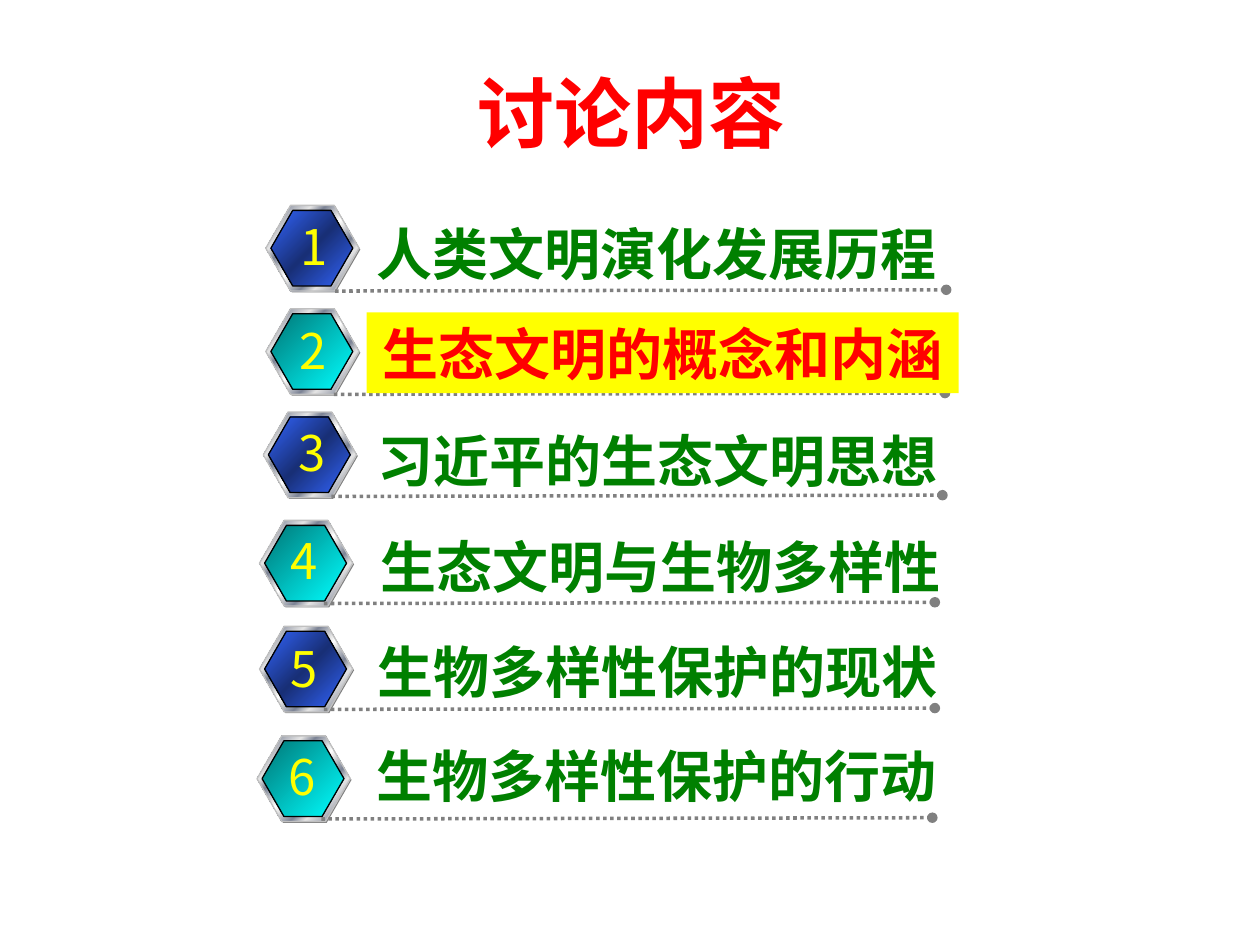
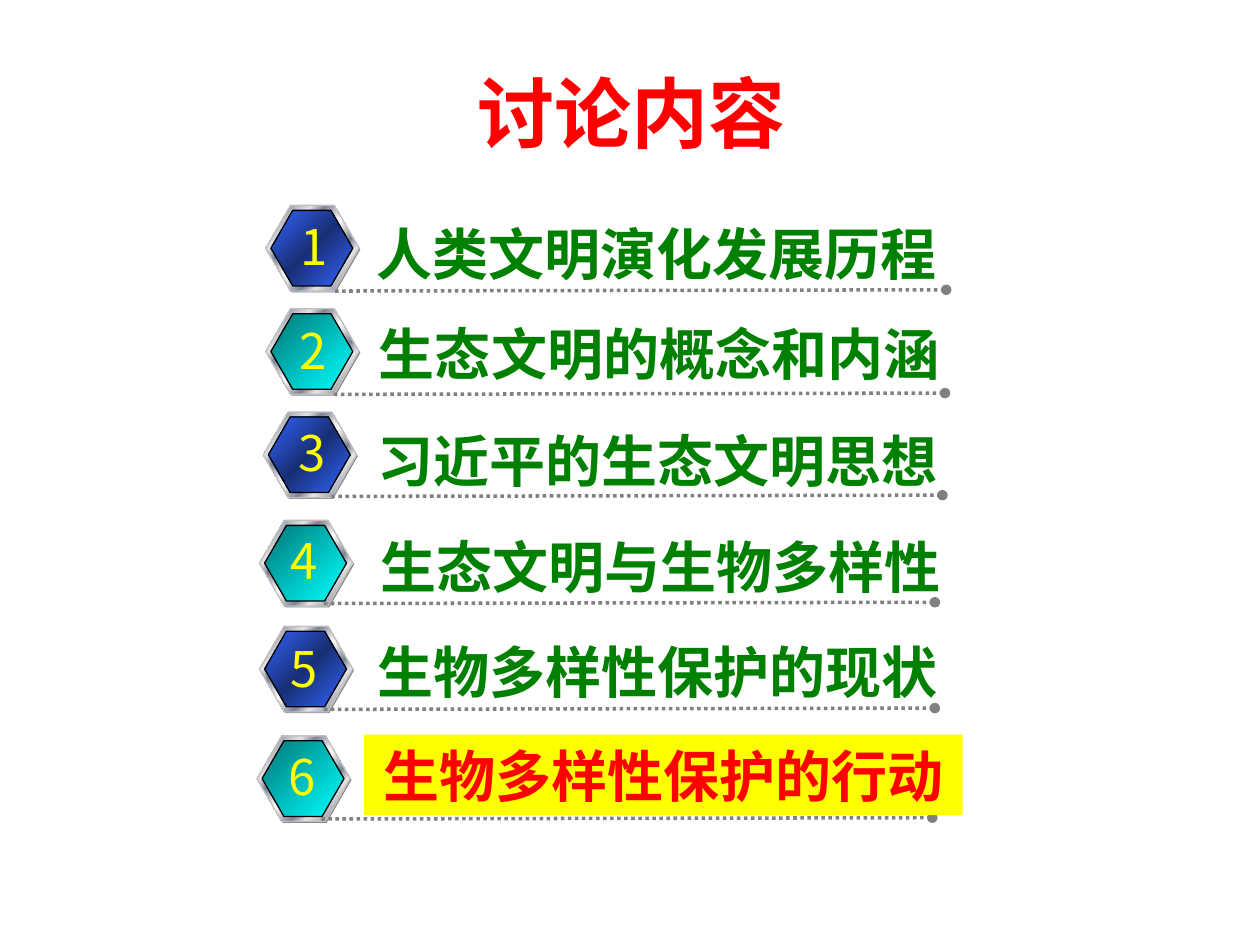
"""Build two agenda slides that each highlight one discussion topic."""
from dataclasses import dataclass

from lxml.etree import SubElement
from pptx import Presentation
from pptx.dml.color import RGBColor
from pptx.enum.dml import MSO_LINE
from pptx.enum.shapes import MSO_CONNECTOR, MSO_SHAPE
from pptx.enum.text import MSO_ANCHOR, PP_ALIGN
from pptx.oxml.ns import qn
from pptx.util import Inches, Pt

FONT = "Noto Sans CJK SC"
RED = RGBColor(0xFF, 0x00, 0x00)
GREEN = RGBColor(0x00, 0x80, 0x00)
YELLOW = RGBColor(0xFF, 0xFF, 0x00)
BLACK = RGBColor(0x00, 0x00, 0x00)
GRAY = RGBColor(0x80, 0x80, 0x80)
SILVER = RGBColor(0xC0, 0xC0, 0xC0)
WHITE = RGBColor(0xFF, 0xFF, 0xFF)
PALE = RGBColor(0xE6, 0xE6, 0xE6)
STEEL = RGBColor(0x7D, 0x84, 0x96)
BLUE = RGBColor(0x33, 0x66, 0xFF)
NAVY = RGBColor(0x18, 0x2F, 0x76)
TEAL = RGBColor(0x00, 0x76, 0x76)
CYAN = RGBColor(0x00, 0xFF, 0xFF)

METAL_STOPS = [(0, PALE), (8, STEEL), (26, PALE), (34, STEEL), (46, PALE), (50, WHITE),
               (54, PALE), (66, STEEL), (74, PALE), (92, STEEL), (100, PALE)]
BLUE_STOPS = [(0, BLUE), (50, NAVY), (100, BLUE)]
TEAL_STOPS = [(0, TEAL), (100, CYAN)]


@dataclass(frozen=True)
class Topic:
    """One agenda row; each pair is left and top in inches."""
    text: str
    badge: tuple[float, float]
    number: tuple[float, float]
    rule: tuple[float, float]
    label: tuple[float, float]
    width: float = 5.1
    highlight_width: float = 4.7


TOPICS = [
    Topic("人类文明演化发展历程", (2.11, 1.63), (2.29, 1.67), (2.66, 2.31), (2.89, 1.69), width=6.11),
    Topic("生态文明的概念和内涵", (2.11, 2.45), (2.28, 2.49), (2.65, 3.13), (2.91, 2.48)),
    Topic("习近平的生态文明思想", (2.09, 3.27), (2.27, 3.3), (2.63, 3.94), (2.9, 3.33)),
    Topic("生态文明与生物多样性", (2.06, 4.13), (2.21, 4.16), (2.57, 4.79), (2.92, 4.17)),
    Topic("生物多样性保护的现状", (2.06, 4.97), (2.21, 5.02), (2.57, 5.63), (2.9, 5.01)),
    Topic("生物多样性保护的行动", (2.04, 5.84), (2.19, 5.87), (2.55, 6.5), (2.89, 5.83),
          highlight_width=4.75),
]


def add_text(slide, text: str, x: float, y: float, w: float, h: float, *, size: int,
             color: RGBColor, bold: bool = False, align=PP_ALIGN.CENTER,
             anchor=MSO_ANCHOR.MIDDLE, wrap: bool = True, fill: RGBColor | None = None):
    """Add a one-line text box, on a filled rectangle if a fill is given."""
    box = Inches(x), Inches(y), Inches(w), Inches(h)
    if fill is None:
        s = slide.shapes.add_textbox(*box)
    else:
        s = slide.shapes.add_shape(MSO_SHAPE.RECTANGLE, *box)
        s.shadow.inherit = False
        s.fill.solid()
        s.fill.fore_color.rgb = fill
        s.line.fill.background()
    tf = s.text_frame
    tf.word_wrap = wrap
    tf.vertical_anchor = anchor
    p = tf.paragraphs[0]
    p.alignment = align
    r = p.add_run()
    r.text = text
    r.font.name = FONT
    r.font.size = Pt(size)
    r.font.bold = bold
    r.font.color.rgb = color
    SubElement(r.font._element, qn("a:ea")).set("typeface", FONT)
    return s


def fill_gradient(s, stops: list[tuple[int, RGBColor]]) -> None:
    """Fill a shape with a diagonal gradient of the given stops."""
    s.fill.gradient()
    s.fill.gradient_angle = 315
    stop_list = s._element.spPr.find(qn("a:gradFill")).find(qn("a:gsLst"))
    for old in list(stop_list):
        stop_list.remove(old)
    for percent, color in stops:
        stop = SubElement(stop_list, qn("a:gs"), pos=str(percent * 1000))
        SubElement(stop, qn("a:srgbClr"), val=str(color))


def add_hexagon(group, x: float, y: float, w: float, h: float, *,
                stops: list | None = None, outline: RGBColor | None = None):
    """Add a regular hexagon, flat gray unless gradient stops are given."""
    s = group.shapes.add_shape(MSO_SHAPE.HEXAGON, Inches(x), Inches(y), Inches(w), Inches(h))
    s.shadow.inherit = False
    s.adjustments[0] = 0.289
    s.adjustments[1] = 1.155
    if stops:
        fill_gradient(s, stops)
    else:
        s.fill.solid()
        s.fill.fore_color.rgb = GRAY
    if outline is None:
        s.line.fill.background()
    else:
        s.line.color.rgb = outline
        s.line.width = Pt(0.75)
    return s


def add_badge(slide, x: float, y: float, stops: list) -> None:
    """Add a metal-rimmed hexagon with its offset backing."""
    group = slide.shapes.add_group_shape()
    add_hexagon(group, x + 0.01, y + 0.01, 0.74, 0.68)
    add_hexagon(group, x, y, 0.74, 0.68, stops=METAL_STOPS, outline=SILVER)
    add_hexagon(group, x + 0.04, y + 0.04, 0.65, 0.6, stops=stops, outline=BLACK)


def add_rule(slide, x: float, y: float) -> None:
    """Add a dotted rule that ends in a dot."""
    c = slide.shapes.add_connector(MSO_CONNECTOR.STRAIGHT, Inches(x), Inches(y),
                                   Inches(x + 4.85), Inches(y - 0.01))
    c.line.color.rgb = GRAY
    c.line.width = Pt(2)
    c.line.dash_style = MSO_LINE.ROUND_DOT
    SubElement(c.line._get_or_add_ln(), qn("a:tailEnd"), type="oval")
    SubElement(c._element.spPr, qn("a:effectLst"))


def add_topic(slide, number: int, topic: Topic, highlighted: bool) -> None:
    """Draw one agenda row."""
    add_badge(slide, *topic.badge, BLUE_STOPS if number % 2 else TEAL_STOPS)
    add_text(slide, str(number), *topic.number, 0.4, 0.57, size=28, color=YELLOW, wrap=False)
    add_rule(slide, *topic.rule)
    if highlighted:
        add_text(slide, topic.text, *topic.label, topic.highlight_width, 0.64,
                 size=32, color=RED, bold=True, fill=YELLOW)
    else:
        add_text(slide, topic.text, *topic.label, topic.width, 0.64,
                 size=32, color=GREEN, bold=True, align=PP_ALIGN.LEFT)


def add_agenda(prs, current: int) -> None:
    """Add an agenda slide with the current topic highlighted."""
    slide = prs.slides.add_slide(prs.slide_layouts[6])
    add_text(slide, "讨论内容", 0.51, 0.47, 9, 1.25, size=44, color=RED, bold=True,
             anchor=MSO_ANCHOR.TOP)
    for number, topic in enumerate(TOPICS, 1):
        add_topic(slide, number, topic, number == current)


def main() -> None:
    """Build and save the slides."""
    prs = Presentation()
    prs.slide_width, prs.slide_height = Inches(10), Inches(7.5)
    for current in (2, 6):
        add_agenda(prs, current)
    prs.save("out.pptx")


if __name__ == "__main__":
    main()
